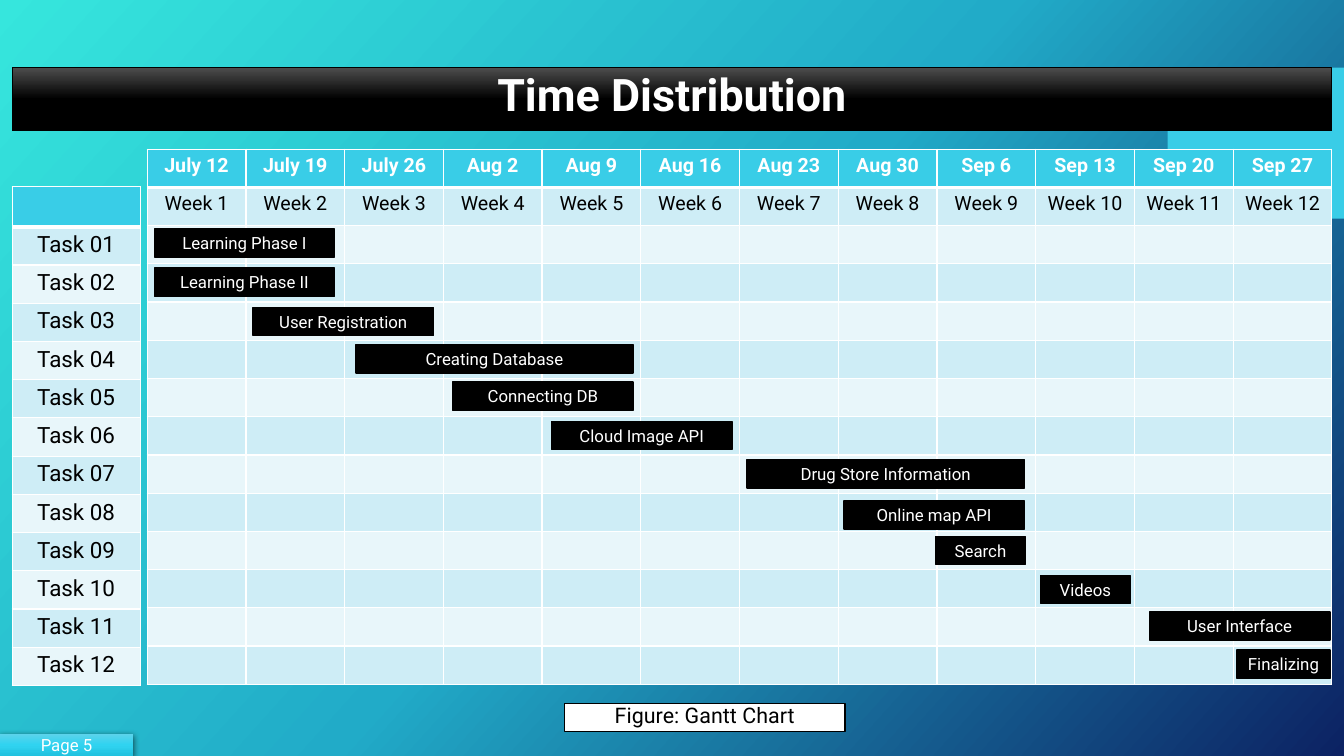
from copy import deepcopy

from lxml import etree
from pptx import Presentation
from pptx.dml.color import RGBColor
from pptx.enum import shapes, text
from pptx.oxml import ns
from pptx.util import Inches, Pt

# Content
TITLE = "Time Distribution"
CAPTION = "Figure: Gantt Chart"
PAGE = "Page 5"
DATES = ["July 12", "July 19", "July 26", "Aug 2", "Aug 9", "Aug 16",
         "Aug 23", "Aug 30", "Sep 6", "Sep 13", "Sep 20", "Sep 27"]
WEEKS = [f"Week {n}" for n in range(1, 13)]
TASKS = [f"Task {n:02}" for n in range(1, 13)]
BARS = [  # label, left, top, width
    ("Learning Phase I", 1.53, 2.27, 1.79),
    ("Learning Phase II", 1.53, 2.66, 1.79),
    ("User Registration", 2.51, 3.05, 1.79),
    ("Creating Database", 3.53, 3.42, 2.75),
    ("Connecting DB", 4.49, 3.79, 1.79),
    ("Cloud Image API", 5.47, 4.18, 1.79),
    ("Drug Store Information", 7.41, 4.56, 2.75),
    ("Online map API", 8.37, 4.97, 1.79),
    ("Search", 9.28, 5.32, 0.89),
    ("Videos", 10.32, 5.71, 0.89),
    ("User Interface", 11.4, 6.07, 1.79),
    ("Finalizing", 12.27, 6.45, 0.92),
]

# Colours and font
FONT = "Roboto"
BLACK = RGBColor(0x00, 0x00, 0x00)
WHITE = RGBColor(0xFF, 0xFF, 0xFF)
CYAN = RGBColor(0x39, 0xCD, 0xE7)
BANDS = [RGBColor(0xCE, 0xED, 0xF6), RGBColor(0xE8, 0xF6, 0xFA)]
BACKDROP = [RGBColor(0x36, 0xE6, 0xDD), RGBColor(0x21, 0xAB, 0xC8), RGBColor(0x0C, 0x22, 0x63)]
TITLE_FADE = [RGBColor(0x4D, 0x4D, 0x4D), BLACK, BLACK]
PAGE_FADE = [RGBColor(0x5D, 0xD3, 0xEB), RGBColor(0x30, 0xD3, 0xF0), RGBColor(0x21, 0xC2, 0xDF)]


def set_gradient(fill, element, colors, angle):
    """Three even stops; the angle runs clockwise."""
    fill.gradient()
    fill.gradient_angle = 360 - angle
    stops = element.find(".//" + ns.qn("a:gsLst"))
    stops.append(deepcopy(stops[0]))
    for i, (stop, color) in enumerate(zip(fill.gradient_stops, colors)):
        stop.position = i / 2
        stop.color.rgb = color


def write(tf, words, size, color, bold=False, spacing=None):
    p = tf.paragraphs[0]
    p.text = words
    p.alignment = text.PP_ALIGN.CENTER
    if spacing:
        p.line_spacing = spacing
    p.font.name, p.font.size, p.font.bold = FONT, Pt(size), bold
    p.font.color.rgb = color


def add_box(s, left, top, width, height, fill, line=None):
    sp = s.shapes.add_shape(shapes.MSO_SHAPE.RECTANGLE, Inches(left), Inches(top),
                            Inches(width), Inches(height))
    sp.shadow.inherit = False
    if isinstance(fill, list):
        set_gradient(sp.fill, sp.element, fill, 90)
    else:
        sp.fill.solid()
        sp.fill.fore_color.rgb = fill
    if line:
        sp.line.color.rgb, sp.line.width = BLACK, Pt(line)
    else:
        sp.line.fill.background()
    sp.text_frame.vertical_anchor = text.MSO_ANCHOR.MIDDLE
    return sp


def style_cell(cell, fill, bottom=1):
    cell.fill.solid()
    cell.fill.fore_color.rgb = fill
    tcPr = cell._tc.get_or_add_tcPr()
    for i, (side, width) in enumerate([("L", 1), ("R", 1), ("T", 1), ("B", bottom)]):
        ln = etree.Element(ns.qn(f"a:ln{side}"), w=str(Pt(width)))
        solid = etree.SubElement(ln, ns.qn("a:solidFill"))
        etree.SubElement(solid, ns.qn("a:srgbClr"), val=str(WHITE))
        tcPr.insert(i, ln)


def add_grid(s, left, top, width, heights, rows, size, bands):
    """First row is the cyan header; the rest alternate between the bands."""
    cols = len(rows[0])
    table = s.shapes.add_table(len(rows), cols, Inches(left), Inches(top),
                               Inches(width), Inches(sum(heights))).table
    table.first_row = table.horz_banding = False
    for col in table.columns:
        col.width = Inches(width / cols)
    for r, (row, height) in enumerate(zip(rows, heights)):
        table.rows[r].height = Inches(height)
        for c, words in enumerate(row):
            cell, head = table.cell(r, c), r == 0
            style_cell(cell, CYAN if head else bands[(r - 1) % 2], 3 if head else 1)
            write(cell.text_frame, words, size, WHITE if head else BLACK, head)


prs = Presentation()
prs.slide_width, prs.slide_height = Inches(13.33), Inches(7.5)
s = prs.slides.add_slide(prs.slide_layouts[6])

# Background and corner block
set_gradient(s.background.fill, s.element, BACKDROP, 42)
add_box(s, 11.58, 0.67, 1.75, 1.5, CYAN)

# Calendar and task list
row_height = 5.31 / 14
calendar = [DATES, WEEKS] + [[""] * len(DATES) for _ in TASKS]
add_grid(s, 1.46, 1.48, 11.75, [row_height] * len(calendar), calendar, 14, BANDS)
add_grid(s, 0.12, 1.85, 1.27, [0.4] + [row_height] * len(TASKS),
         [[""]] + [[task] for task in TASKS], 16, BANDS)

# Title
title = add_box(s, 0.12, 0.67, 13.09, 0.63, TITLE_FADE, 0.75)
title.text_frame.vertical_anchor = text.MSO_ANCHOR.TOP
write(title.text_frame, TITLE, 32, WHITE, True, 0.9)

# Task bars
for label, left, top, width in BARS:
    bar = add_box(s, left, top, width, 0.28, BLACK, 1)
    write(bar.text_frame, label, 12, WHITE)

# Caption
caption = add_box(s, 5.6, 6.98, 2.78, 0.28, WHITE, 1)
write(caption.text_frame, CAPTION, 15.3, BLACK, spacing=0.7)

# Page tag with its soft shadow
tag = add_box(s, 0, 7.28, 1.32, 0.22, PAGE_FADE)
write(tag.text_frame, PAGE, 12, WHITE)
effects = tag.element.spPr.find(ns.qn("a:effectLst"))
shadow = etree.SubElement(effects, ns.qn("a:outerShdw"), blurRad=str(Pt(4.5)),
                          dist=str(Pt(1.5)), dir=str(90 * 60000), rotWithShape="0")
shade = etree.SubElement(shadow, ns.qn("a:srgbClr"), val=str(BLACK))
etree.SubElement(shade, ns.qn("a:alpha"), val="63000")

prs.save("out.pptx")
